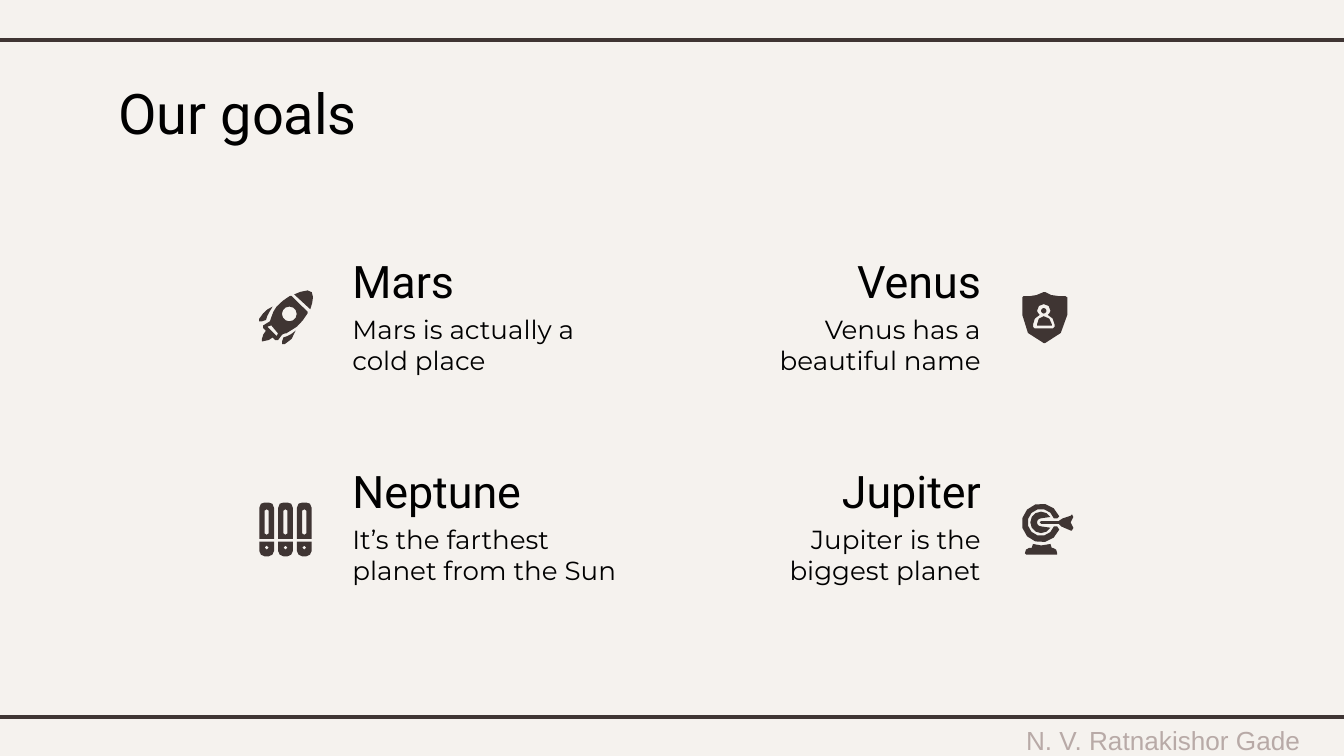
import math
from dataclasses import dataclass

import pptx
import pptx.dml.color
import pptx.enum.shapes
import pptx.enum.text
import pptx.oxml
import pptx.slide
import pptx.util

Cm = pptx.util.Cm
Align = pptx.enum.text.PP_ALIGN
Anchor = pptx.enum.text.MSO_ANCHOR
Point = tuple[float, float]
Contour = list[Point]
Outline = list[Contour]

ICON_UNIT = Cm(2.54) / 100
CURVE_STEPS = 2
ARC_STEP = 30


@dataclass(frozen=True)
class Theme:
    paper: str = "F5F2EE"
    dark: str = "3F3533"
    text: str = "000000"
    muted: str = "B8AAA7"
    heading_font: str = "Roboto"
    body_font: str = "Montserrat"
    footer_font: str = "Arial"
    title_size: int = 30
    heading_size: int = 24
    body_size: int = 14
    rule_width: float = 2.25


@dataclass(frozen=True)
class Column:
    text_left: float
    icon_left: float
    align: Align


@dataclass(frozen=True)
class Goal:
    heading: str
    body: str
    column: Column
    row: int
    icon: list[Outline]
    icon_top: float


THEME = Theme()
LEFT = Column(6.41, 4.9, Align.LEFT)
RIGHT = Column(13.2, 19.32, Align.RIGHT)
FIRST_ROW, ROW_STEP = 4.55, 3.97


def trace(commands: str, shift: float = 0) -> Contour:
    points: Contour = []
    for command in commands.replace("L", "|L").replace("C", "|C").split("|"):
        letter, *numbers = command.split()
        values = [float(number) for number in numbers]
        corners = [(x + shift, y) for x, y in zip(values[::2], values[1::2])]
        if letter != "C":
            points += corners
            continue
        controls = [points[-1], *corners]
        for step in range(1, CURVE_STEPS + 1):
            t = step / CURVE_STEPS
            weights = ((1 - t) ** 3, 3 * t * (1 - t) ** 2, 3 * t * t * (1 - t), t ** 3)
            points.append(tuple(
                sum(weight * corner[axis] for weight, corner in zip(weights, controls))
                for axis in (0, 1)
            ))
    return points


def arc(x: float, y: float, radius: float, start: float = 0, end: float = 330) -> Contour:
    steps = math.ceil(abs(end - start) / ARC_STEP)
    angles = [math.radians(start + (end - start) * step / steps) for step in range(steps + 1)]
    return [(x + radius * math.cos(angle), y + radius * math.sin(angle)) for angle in angles]


def binder(shift: float) -> list[Outline]:
    base = trace("M 0 29 L 0 36 C 0 38 2 40 4 40 L 7 40 C 9 40 11 38 11 36 L 11 29", shift)
    spine = trace("M 4 0 C 2 0 0 1 0 4 L 0 27 L 11 27 L 11 4 C 11 1 9 0 7 0", shift)
    slot = trace("M 5.5 5 L 7 6 L 7 23 L 5.5 24 L 4 23 L 4 6", shift)
    hole = trace("M 5.5 32 L 7 33.5 L 5.5 35 L 4 33.5", shift)
    return [[base, hole], [spine, slot]]


ROCKET = [
    [
        trace("M 23 4 C 19 6 16 9 13 12 C 11 14 10 17 9 20 L 8 23 L 3 26 L 3 28 L 5 30 "
              "C 4 31 2 34 2 36 L 2 38 C 6 38 9 36 10 35 L 12 37 L 14 37 L 17 33 "
              "C 18 32 19 32 20 32 C 23 30 25 29 28 27 C 31 24 34 21 36 17 L 36 16 L 24 4"),
        arc(22.4, 17.5, 5.5),
        trace("M 9 26 L 14 32 L 13 34 L 6 27"),
    ],
    [trace("M 36 0 C 32 1 29 1 26 3 L 38 14 C 39 11 40 8 40 5 C 40 2 39 0 36 0")],
    [trace("M 27 30 C 25 32 23 33 21 34 C 20 34 19 35 18 35 L 17 38 L 17 40 L 19 40 "
           "C 23 38 26 35 27 30")],
    [trace("M 10 12 C 7 13 5 15 3 17 C 2 18 1 20 0 21 L 0 23 L 2 23 L 5 22 L 6 19 "
           "C 7 17 8 15 10 12")],
]
BINDERS = [outline for shift in (0, 14, 28) for outline in binder(shift)]
SHIELD = [
    [trace("M 16 18 C 13 18 11 21 11 24 L 11 25 L 22 25 L 22 24 C 22 21 19 18 16 18")],
    [arc(16, 14, 2)],
    [
        trace("M 16 0 L 17 0 C 20 2 23 3 27 3 L 32 3 L 33.5 4 L 33.5 17 "
              "C 33.5 27 26 36 17 38 L 16 38 C 6 36 0 27 0 17 L 0 4 L 1 3 L 6 3 "
              "C 9 3 12 2 16 0"),
        trace("M 19 17 C 22 18 24 21 24 24 L 24 26 L 23 27 L 9 27 "
              "L 8 26 L 8 24 C 8 21 10 18 13 17 C 12 16 11 15 11 14 "
              "C 11 11 13 9 16 9 C 19 9 21 11 21 14 C 21 15 20 16 19 17"),
    ],
]
TARGET = [
    [arc(14, 14.4, 14.4, 20, 340) + trace("M 26 11 L 24 11")
     + arc(14, 14, 10, 343, 17) + trace("M 24 17 L 26 17")],
    [trace("M 37 8 L 36 9 L 30 11 L 27 13 L 14 13 L 13 14 L 14 15 L 27 15 L 29 17 "
           "L 36 20 L 37 20 L 38 18 L 36 14 L 38 10")],
    [trace("M 8 30 L 7 33 L 5 33 C 3 33 2 35 2 37 L 3 38 L 26 38 L 26 37 "
           "C 26 35 25 33 23 33 L 22 33 L 21 30 C 17 31.5 11 31.5 8 30")],
    [arc(14, 14, 8, 30, 330) + arc(14, 14, 3, 270, 90)],
]
GOALS = [
    Goal("Venus", "Venus has a beautiful name", RIGHT, 0, SHIELD, 5.52),
    Goal("Mars", "Mars is actually a cold place", LEFT, 0, ROCKET, 5.49),
    Goal("Jupiter", "Jupiter is the biggest planet", RIGHT, 1, TARGET, 9.52),
    Goal("Neptune", "It’s the farthest planet from the Sun", LEFT, 1, BINDERS, 9.5),
]


def rgb(value: str) -> pptx.dml.color.RGBColor:
    return pptx.dml.color.RGBColor.from_string(value)


def write(box, text: str, *, font: str, size: float, color: str = THEME.text,
          align: Align = Align.LEFT, anchor: Anchor = Anchor.TOP, inset: float = 0.25) -> None:
    frame = box.text_frame
    frame.word_wrap = True
    frame.auto_size = pptx.enum.text.MSO_AUTO_SIZE.NONE
    frame.vertical_anchor = anchor
    frame.margin_left = frame.margin_right = Cm(inset)
    frame.margin_top = frame.margin_bottom = Cm(inset)
    para = frame.paragraphs[0]
    para.alignment = align
    span = para.add_run()
    span.text = text
    span.font.name = font
    span.font.size = pptx.util.Pt(size)
    span.font.color.rgb = rgb(color)


def add_text(page: pptx.slide.Slide, left: float, top: float, width: float, height: float,
             text: str, **style) -> None:
    box = page.shapes.add_textbox(Cm(left), Cm(top), Cm(width), Cm(height))
    write(box, text, **style)


def add_rule(page: pptx.slide.Slide, top: float) -> None:
    rule = page.shapes.add_connector(
        pptx.enum.shapes.MSO_CONNECTOR.STRAIGHT, Cm(-0.2), Cm(top), Cm(25.6), Cm(top))
    rule.line.color.rgb = rgb(THEME.dark)
    rule.line.width = pptx.util.Pt(THEME.rule_width)
    rule._element.spPr.append(pptx.oxml.parse_xml(
        '<a:effectLst xmlns:a="http://schemas.openxmlformats.org/drawingml/2006/main"/>'))


def add_icon(page: pptx.slide.Slide, icon: list[Outline], left: float, top: float) -> None:
    group = page.shapes.add_group_shape()
    for outline in icon:
        contours = [[(x * ICON_UNIT, y * ICON_UNIT) for x, y in contour] for contour in outline]
        builder = group.shapes.build_freeform(*contours[0][0])
        builder.add_line_segments(contours[0][1:], close=True)
        for contour in contours[1:]:
            builder.move_to(*contour[0])
            builder.add_line_segments(contour[1:], close=True)
        shape = builder.convert_to_shape(Cm(left), Cm(top))
        shape.shadow.inherit = False
        shape.fill.solid()
        shape.fill.fore_color.rgb = rgb(THEME.dark)
        shape.line.fill.background()


def add_goal(page: pptx.slide.Slide, goal: Goal) -> None:
    column = goal.column
    top = FIRST_ROW + goal.row * ROW_STEP
    add_text(page, column.text_left, top, 5.59, 1.4, goal.heading,
             font=THEME.heading_font, size=THEME.heading_size, align=column.align)
    add_text(page, column.text_left, top + 1.12, 5.59, 1.6, goal.body,
             font=THEME.body_font, size=THEME.body_size, align=column.align)
    add_icon(page, goal.icon, column.icon_left, goal.icon_top)


def main() -> None:
    deck = pptx.Presentation()
    deck.slide_width, deck.slide_height = Cm(25.4), Cm(14.29)
    page = deck.slides.add_slide(deck.slide_layouts.get_by_name("Title Only"))
    page.background.fill.solid()
    page.background.fill.fore_color.rgb = rgb(THEME.paper)
    add_text(page, 18.57, 13.74, 6.83, 0.48, "N. V. Ratnakishor Gade", font=THEME.footer_font,
             size=THEME.body_size, color=THEME.muted, align=Align.CENTER,
             anchor=Anchor.MIDDLE, inset=0)
    for top in (0.76, 13.55):
        add_rule(page, top)
    title = page.shapes.title
    title.left, title.top, title.width, title.height = Cm(1.99), Cm(1.24), Cm(7.75), Cm(1.6)
    write(title, "Our goals", font=THEME.heading_font, size=THEME.title_size)
    for goal in GOALS:
        add_goal(page, goal)
    deck.save("out.pptx")


if __name__ == "__main__":
    main()
